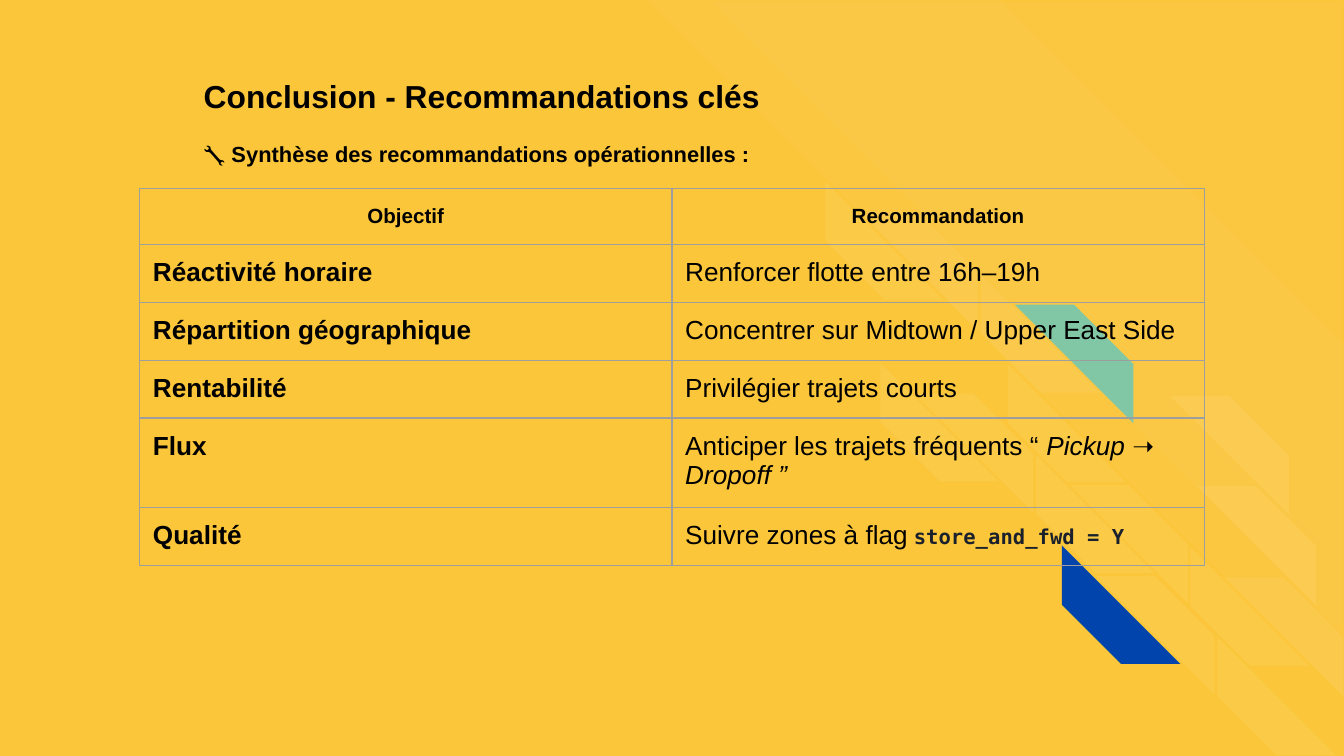
import lxml.etree
import pptx
import pptx.dml.color
import pptx.enum.shapes
import pptx.enum.text
import pptx.oxml.ns
import pptx.util

Cm = pptx.util.Cm
Pt = pptx.util.Pt
qn = pptx.oxml.ns.qn


def color(value):
    return pptx.dml.color.RGBColor.from_string(value)


class Deck:
    FONT = "Arial"
    CODE_FONT = "DejaVu Sans Mono"
    BACKGROUND = "FBC63A"
    INK = "000000"
    CODE_INK = "1B212C"
    BORDER = "9E9E9E"
    WHITE = "FFFFFF"
    INSET = Cm(0.25)

    def __init__(self):
        self.prs = pptx.Presentation()
        self.prs.slide_width = Cm(25.4)
        self.prs.slide_height = Cm(14.29)
        self.slide = self.prs.slides.add_slide(self.prs.slide_layouts[6])
        fill = self.slide.background.fill
        fill.solid()
        fill.fore_color.rgb = color(self.BACKGROUND)

    def stripe(self, left, top, size=2.24, rotation=0, flip=False,
               adjust=0.5, fill=WHITE, alpha=None):
        sp = self.slide.shapes.add_shape(
            pptx.enum.shapes.MSO_SHAPE.DIAGONAL_STRIPE,
            Cm(left), Cm(top), Cm(size), Cm(size))
        sp.shadow.inherit = False
        sp.adjustments[0] = adjust
        sp.rotation = rotation
        if flip:
            sp._element.spPr.find(qn("a:xfrm")).set("flipH", "1")
        sp.fill.solid()
        sp.fill.fore_color.rgb = color(fill)
        sp.line.fill.background()
        if alpha is not None:
            clr = sp._element.spPr.find(qn("a:solidFill"))[0]
            lxml.etree.SubElement(clr, qn("a:alpha")).set("val", str(alpha * 1000))

    def style(self, r, size, bold=False, italic=False, font=FONT, ink=INK):
        r.font.name = font
        r.font.size = Pt(size)
        r.font.bold = bold
        r.font.italic = italic
        r.font.color.rgb = color(ink)

    def heading(self, text, top, size):
        tb = self.slide.shapes.add_textbox(Cm(3.6), Cm(top), Cm(19.56), Cm(1.25))
        tf = tb.text_frame
        tf.word_wrap = True
        tf.margin_left = tf.margin_right = self.INSET
        tf.margin_top = tf.margin_bottom = self.INSET
        p = tf.paragraphs[0]
        p.text = text
        p.line_spacing = 1.15
        self.style(p.runs[0], size, bold=True)

    def cell(self, cell, parts, header=False):
        cell.margin_left = cell.margin_right = self.INSET
        cell.margin_top = cell.margin_bottom = self.INSET
        tcPr = cell._tc.get_or_add_tcPr()
        for side in ("a:lnL", "a:lnR", "a:lnT", "a:lnB"):
            ln = lxml.etree.SubElement(tcPr, qn(side))
            ln.set("w", str(Pt(0.75)))
            fill = lxml.etree.SubElement(ln, qn("a:solidFill"))
            lxml.etree.SubElement(fill, qn("a:srgbClr")).set("val", self.BORDER)
        cell.fill.background()
        p = cell.text_frame.paragraphs[0]
        if header:
            p.alignment = pptx.enum.text.PP_ALIGN.CENTER
            p.line_spacing = 1.15
        for text, look in parts:
            r = p.add_run()
            r.text = text
            self.style(r, **look)

    def table(self, rows, left, top, col_width, row_height):
        frame = self.slide.shapes.add_table(
            len(rows), len(rows[0]), Cm(left), Cm(top),
            Cm(col_width * len(rows[0])), Cm(row_height * len(rows)))
        table = frame.table
        table.first_row = False
        table.horz_banding = False
        for i, row in enumerate(rows):
            table.rows[i].height = Cm(row_height)
            for j, parts in enumerate(row):
                self.cell(table.cell(i, j), parts, header=i == 0)


def main():
    deck = Deck()

    deck.stripe(12.24, 0, 13.16, rotation=90, adjust=0.495, alpha=3)
    deck.stripe(13.44, 0.03, 11.92, rotation=90, adjust=0, alpha=3)
    white = {"alpha": 7}
    teal = {"fill": "82C7A5"}
    blue = {"fill": "0145AC"}
    pairs = [
        (15.6, 3.43, white, white),
        (16.64, 6.86, white, white),
        (18.54, 5.18, white, teal),
        (19.58, 8.59, white, white),
        (20.07, 10.31, blue, white),
        (22.5, 10.34, white, white),
    ]
    for left, top, lower, upper in pairs:
        deck.stripe(left, top, rotation=270, **lower)
        deck.stripe(left + 0.64, top + 0.58, flip=True, **upper)
    for left, top in [(19.05, 6.88), (23.01, 12.04)]:
        deck.stripe(left, top, rotation=270, **white)
    for left, top in [(22.12, 7.49), (22.63, 9.19)]:
        deck.stripe(left, top, flip=True, **white)

    deck.heading("Conclusion - Recommandations clés", 1.09, 17)
    deck.heading("🔧 Synthèse des recommandations opérationnelles :", 2.34, 11.7)

    head = {"size": 11, "bold": True}
    goal = {"size": 14, "bold": True}
    body = {"size": 14}
    italic = {"size": 14, "italic": True}
    code = {"size": 11, "bold": True, "font": deck.CODE_FONT, "ink": deck.CODE_INK}
    advice = [
        ("Réactivité horaire", [("Renforcer flotte entre 16h–19h", body)]),
        ("Répartition géographique",
         [("Concentrer sur Midtown / Upper East Side", body)]),
        ("Rentabilité", [("Privilégier trajets courts", body)]),
        ("Flux", [("Anticiper les trajets fréquents “ ", body),
                  ("Pickup ➝ Dropoff ”", italic)]),
        ("Qualité", [("Suivre zones à flag", body), (" ", {"size": 11}),
                     ("store_and_fwd = Y", code)]),
    ]
    rows = [[[("Objectif", head)], [("Recommandation", head)]]]
    rows += [[[(name, goal)], parts] for name, parts in advice]
    deck.table(rows, 2.64, 3.56, 10.06, 1.06)

    deck.prs.save("out.pptx")


if __name__ == "__main__":
    main()
